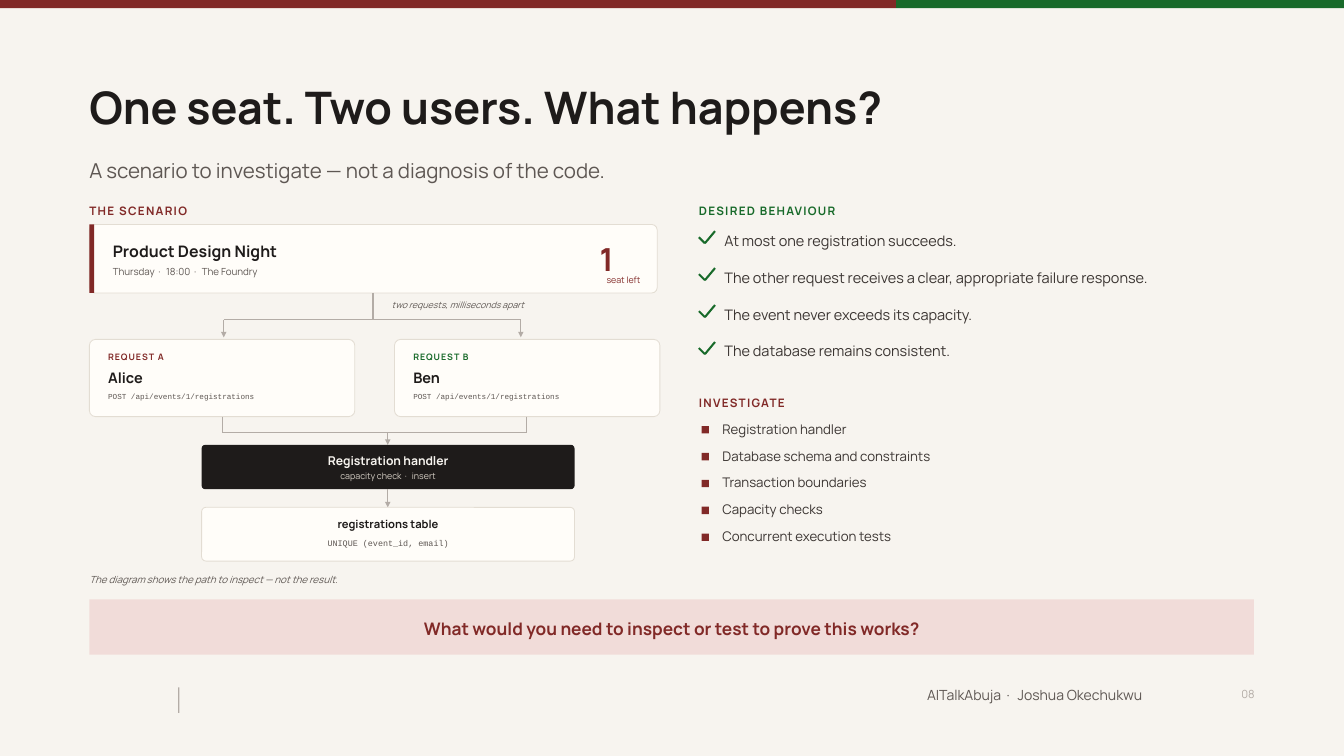
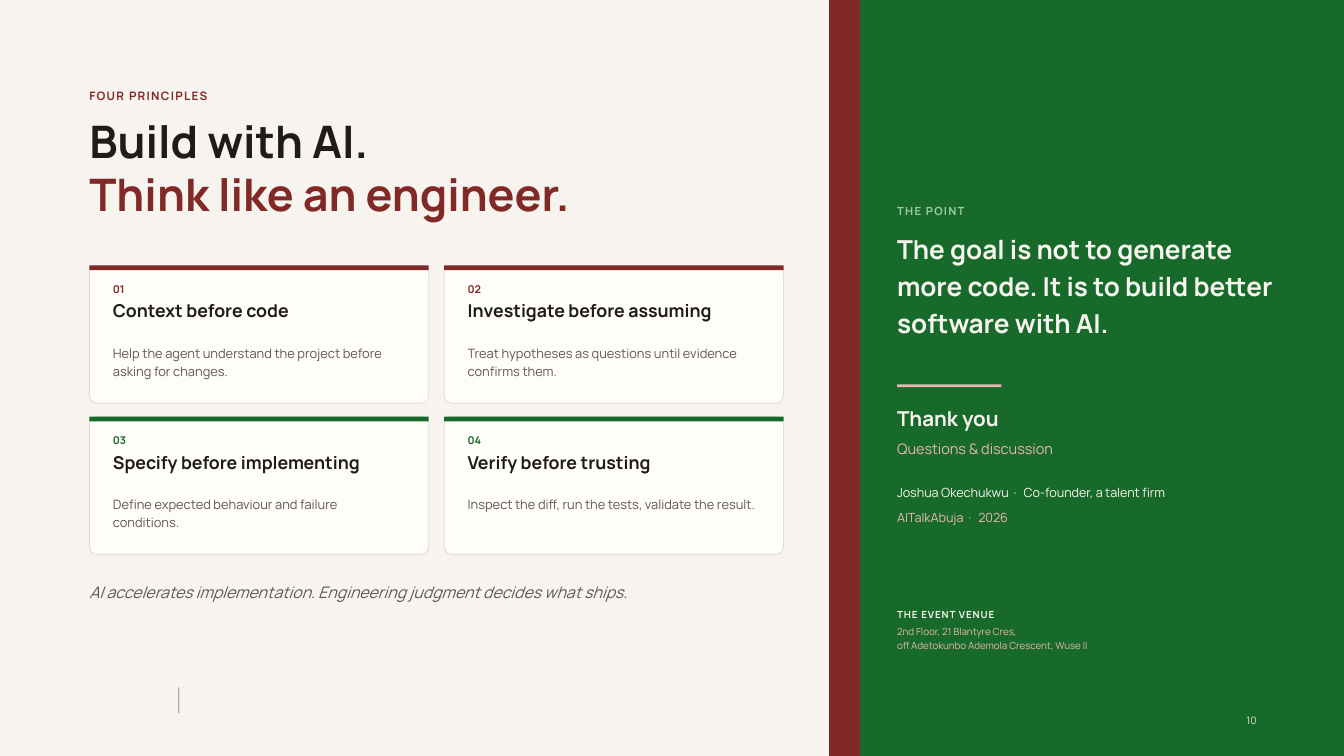
from dataclasses import dataclass
from itertools import pairwise

from pptx import Presentation
from pptx.dml.color import RGBColor as RGB
from pptx.enum.shapes import MSO_CONNECTOR as LINK, MSO_SHAPE as SHAPE
from pptx.enum.text import MSO_ANCHOR as ANCHOR, PP_ALIGN as ALIGN
from pptx.oxml.ns import qn
from pptx.util import Inches, Pt
from lxml.etree import SubElement

COLS, ROWS = 20, 11.25
MARGIN, SPAN = 1.33, 17.33


@dataclass(frozen=True)
class Theme:
    font: str = "Manrope"
    mono: str = "Courier New"
    leading: float = 1.42
    # colours
    paper: str = "F7F4EF"
    card: str = "FFFDF9"
    border: str = "E3DDD3"
    ink: str = "1E1B1A"
    body: str = "3B3532"
    muted: str = "5E5753"
    rule: str = "B3ACA6"
    sand: str = "D8D1C7"
    red: str = "812927"
    green: str = "186A2A"
    blush: str = "F1DCD9"
    pink: str = "E8B7B2"
    mint: str = "9CCBA5"
    pale_mint: str = "CFE6D3"
    # type sizes
    title: float = 48
    figure: float = 34
    quote: float = 28
    subtitle: float = 22
    heading: float = 19
    question: float = 18.5
    lead: float = 17
    item: float = 15.5
    footer: float = 15
    bullet: float = 14.2
    detail: float = 13.8
    credit: float = 13.5
    node: float = 13
    label: float = 12.5
    small: float = 12
    number: float = 11.5
    page: float = 11
    note: float = 10.5
    tiny: float = 9.5
    constraint: float = 9
    code: float = 8.2


T = Theme()


def write(p, text, size, color=T.ink, bold=False, italic=False, font=T.font,
          spacing=0, leading=None, align=ALIGN.LEFT):
    """Fill a paragraph; a middle dot gets wider spacing, a newline a break."""
    p.alignment = align
    p.line_spacing = Pt(round(leading or size * T.leading, 1))
    for n, line in enumerate(text.split("\n")):
        if n:
            p.add_line_break()
        before, dot, after = line.partition(" · ")
        while before:
            for part, gap in ((before, spacing), (dot, size * 0.18)):
                if not part:
                    continue
                r = p.add_run()
                r.text = part
                f = r.font
                f.name, f.size, f.bold, f.italic = font, Pt(size), bold, italic
                f.color.rgb = RGB.from_string(color)
                if gap:
                    r._r.get_or_add_rPr().set("spc", str(round(gap * 100)))
            before, dot, after = after.partition(" · ")


class Deck:
    """Draws on the current slide; lengths are columns and rows of the grid."""

    def __init__(self):
        self.prs = Presentation()
        self.prs.slide_width, self.prs.slide_height = Inches(COLS), Inches(ROWS)
        self.s = None

    def col(self, n):
        return round(self.prs.slide_width * n / COLS)

    def row(self, n):
        return round(self.prs.slide_height * n / ROWS)

    def frame(self, x, y, w, h):
        return self.col(x), self.row(y), self.col(w), self.row(h)

    def slide(self):
        self.s = self.prs.slides.add_slide(self.prs.slide_layouts[6])
        fill = self.s.background.fill
        fill.solid()
        fill.fore_color.rgb = RGB.from_string(T.paper)

    def text(self, x, y, w, h, *lines, anchor=ANCHOR.TOP, **fmt):
        """Each line is a paragraph: a string, or a (string, colour) pair."""
        tf = self.s.shapes.add_textbox(*self.frame(x, y, w, h)).text_frame
        tf.word_wrap, tf.vertical_anchor = True, anchor
        tf.margin_left = tf.margin_top = tf.margin_right = tf.margin_bottom = 0
        for n, line in enumerate(lines):
            p = tf.add_paragraph() if n else tf.paragraphs[0]
            if isinstance(line, tuple):
                write(p, line[0], **{**fmt, "color": line[1]})
            else:
                write(p, line, **fmt)

    def label(self, x, y, w, text, color, size=T.label):
        self.text(x, y, w, 0.3, text, size=size, color=color, bold=True, spacing=1.4)

    def box(self, x, y, w, h, fill, border=None, radius=0):
        kind = SHAPE.ROUNDED_RECTANGLE if radius else SHAPE.RECTANGLE
        sp = self.s.shapes.add_shape(kind, *self.frame(x, y, w, h))
        sp.shadow.inherit = False
        if radius:
            sp.adjustments[0] = radius
        sp.fill.solid()
        sp.fill.fore_color.rgb = RGB.from_string(fill)
        if border:
            sp.line.color.rgb = RGB.from_string(border)
            sp.line.width = Pt(0.9)
        else:
            sp.line.fill.background()

    def card(self, x, y, w, h, radius=0.08):
        self.box(x, y, w, h, T.card, T.border, radius)

    def link(self, *points, color=T.rule, width=1.3, arrow=False):
        """Join the points by straight lines, with an arrowhead on each if asked."""
        for (x1, y1), (x2, y2) in pairwise(points):
            c = self.s.shapes.add_connector(
                LINK.STRAIGHT, self.col(x1), self.row(y1), self.col(x2), self.row(y2))
            c.line.color.rgb = RGB.from_string(color)
            c.line.width = Pt(width)
            if arrow:
                SubElement(c.line._get_or_add_ln(), qn("a:tailEnd"), type="triangle")
            SubElement(c._element.spPr, qn("a:effectLst"))

    def tick(self, x, y):
        self.link((x, y), (x + 0.09, y + 0.09), (x + 0.24, y - 0.09),
                  color=T.green, width=2.2)

    def footer_rule(self):
        self.box(2.65, 10.23, 0.02, 0.38, T.rule)


def event_card(d):
    y = 3.34
    d.card(MARGIN, y, 8.45, 1.02)
    d.box(MARGIN, y, 0.07, 1.02, T.red)
    d.text(1.68, y + 0.2, 5.4, 0.35, "Product Design Night", size=T.lead, bold=True)
    d.text(1.68, y + 0.58, 5.4, 0.25, "Thursday · 18:00 · The Foundry",
           size=T.note, color=T.muted)
    d.text(8.23, y + 0.12, 0.9, 0.6, "1", size=T.figure, color=T.red, bold=True,
           align=ALIGN.RIGHT)
    d.text(8.48, y + 0.72, 1.05, 0.2, "seat left", size=T.tiny, color=T.red,
           align=ALIGN.RIGHT)


def request_card(d, x, label, user, color):
    y, inner = 5.05, x + 0.28
    d.card(x, y, 3.95, 1.15)
    d.text(inner, y + 0.15, 3.4, 0.22, label, size=T.tiny, color=color, bold=True,
           spacing=1.1)
    d.text(inner, y + 0.39, 3.4, 0.32, user, size=T.item, bold=True)
    d.text(inner, y + 0.75, 3.5, 0.25, "POST /api/events/1/registrations",
           size=T.code, color=T.muted, font=T.mono)


def scenario(d):
    d.label(MARGIN, 3, 9.5, "THE SCENARIO", T.red)
    event_card(d)

    fork, left, right = 4.76, 3.33, 7.75
    d.link((5.55, 4.36), (5.55, fork))
    d.link((left, fork), (right, fork))
    for x in (left, right):
        d.link((x, fork), (x, 5.02), arrow=True)
    d.text(5.83, 4.43, 3.6, 0.25, "two requests, milliseconds apart",
           size=T.tiny, color=T.muted, italic=True)
    request_card(d, MARGIN, "REQUEST A", "Alice", T.red)
    request_card(d, 5.87, "REQUEST B", "Ben", T.green)

    join, middle = 6.44, 5.77
    for x in (3.31, 7.84):
        d.link((x, 6.2), (x, join), (middle, join))
    d.link((middle, join), (middle, 6.62), arrow=True)

    x, w = 3, 5.55
    d.box(x, 6.62, w, 0.66, T.ink, radius=0.08)
    d.text(x, 6.7, w, 0.3, "Registration handler", size=T.node, color=T.paper,
           bold=True, align=ALIGN.CENTER)
    d.text(x, 6.98, w, 0.2, "capacity check · insert", size=T.tiny, color=T.sand,
           align=ALIGN.CENTER)
    d.link((middle, 7.28), (middle, 7.55), arrow=True)
    d.card(x, 7.55, w, 0.8)
    d.text(x, 7.66, w, 0.3, "registrations table", size=T.small, bold=True,
           align=ALIGN.CENTER)
    d.text(x, 7.98, w, 0.22, "UNIQUE (event_id, email)", size=T.constraint,
           color=T.muted, font=T.mono, align=ALIGN.CENTER)
    d.text(MARGIN, 8.5, 8.45, 0.25,
           "The diagram shows the path to inspect — not the result.",
           size=T.note, color=T.muted, italic=True)


def checklists(d):
    x = 10.4
    d.label(x, 3, 9.5, "DESIRED BEHAVIOUR", T.green)
    behaviours = ("At most one registration succeeds.",
                  "The other request receives a clear, appropriate failure response.",
                  "The event never exceeds its capacity.",
                  "The database remains consistent.")
    for n, behaviour in enumerate(behaviours):
        y = 3.4 + 0.55 * n
        d.tick(x, y + 0.13)
        d.text(x + 0.38, y, 7.82, 0.4, behaviour, size=T.item, color=T.body)

    d.label(x, 5.85, 9.5, "INVESTIGATE", T.red)
    targets = ("Registration handler", "Database schema and constraints",
               "Transaction boundaries", "Capacity checks",
               "Concurrent execution tests")
    for n, target in enumerate(targets):
        y = 6.22 + 0.4 * n
        d.box(x + 0.04, y + 0.12, 0.11, 0.11, T.red)
        d.text(x + 0.35, y, 7.85, 0.34, target, size=T.bullet, color=T.body)


def seat_slide(d):
    d.slide()
    split = COLS * 2 / 3
    d.box(0, 0, split, 0.12, T.red)
    d.box(split, 0, COLS - split, 0.12, T.green)
    d.text(MARGIN, 1.25, SPAN, 0.95, "One seat. Two users. What happens?",
           size=T.title, bold=True, leading=52.8)
    d.text(MARGIN, 2.28, SPAN, 0.6,
           "A scenario to investigate — not a diagnosis of the code.",
           size=T.subtitle, color=T.muted)
    d.footer_rule()
    d.text(11.4, 10.17, 5.6, 0.38, "AITalkAbuja · Joshua Okechukwu",
           size=T.footer, color=T.muted, align=ALIGN.RIGHT)
    d.text(18.05, 10.19, 0.62, 0.34, "08", size=T.small, color=T.rule,
           align=ALIGN.RIGHT)
    scenario(d)
    checklists(d)
    d.box(MARGIN, 8.92, SPAN, 0.82, T.blush)
    d.text(MARGIN + 0.4, 8.92, SPAN - 0.8, 0.82,
           "What would you need to inspect or test to prove this works?",
           size=T.question, color=T.red, bold=True, align=ALIGN.CENTER,
           anchor=ANCHOR.MIDDLE)


def principle_cards(d):
    principles = (
        ("Context before code",
         "Help the agent understand the project before asking for changes."),
        ("Investigate before assuming",
         "Treat hypotheses as questions until evidence confirms them."),
        ("Specify before implementing",
         "Define expected behaviour and failure conditions."),
        ("Verify before trusting",
         "Inspect the diff, run the tests, validate the result."))
    w, h = 5.05, 2.05
    for n, (heading, detail) in enumerate(principles):
        x, y = MARGIN + n % 2 * (w + 0.23), 3.95 + n // 2 * (h + 0.2)
        color, inner = (T.red, T.green)[n // 2], x + 0.35
        d.card(x, y, w, h, radius=0.055)
        d.box(x, y, w, 0.07, color)
        d.text(inner, y + 0.22, 0.6, 0.25, f"{n + 1:02}", size=T.number, color=color,
               bold=True)
        d.text(inner, y + 0.5, 4.35, 0.65, heading, size=T.heading, bold=True,
               leading=24)
        d.text(inner, y + 1.15, 4.35, 0.75, detail, size=T.detail, color=T.muted,
               leading=19.5)


def closing_panel(d):
    x, w = 13.35, 5.9
    d.label(x, 3, w, "THE POINT", T.mint, size=T.small)
    d.text(x, 3.38, w, 2,
           "The goal is not to generate more code. It is to build better software with AI.",
           size=T.quote, color=T.paper, bold=True, leading=40)
    d.box(x, 5.72, 1.55, 0.04, T.pink)
    d.text(x, 5.98, w, 0.45, "Thank you", size=T.subtitle, color=T.paper, bold=True)
    d.text(x, 6.5, w, 0.35, "Questions & discussion", size=T.item, color=T.pink)
    d.text(x, 7.18, w, 0.35, "Joshua Okechukwu · Co-founder, a talent firm",
           size=T.credit, color=T.paper)
    d.text(x, 7.55, w, 0.35, "AITalkAbuja · 2026", size=T.credit, color=T.pink)
    d.text(x, 9.02, 5.7, 0.25, "THE EVENT VENUE", size=T.note, color=T.paper,
           bold=True, spacing=1)
    d.text(x, 9.28, 5.7, 0.8,
           "2nd Floor, 21 Blantyre Cres,\noff Adetokunbo Ademola Crescent, Wuse II",
           size=T.note, color=T.pink, leading=15)
    d.text(18.15, 10.6, 0.55, 0.3, "10", size=T.page, color=T.pale_mint,
           align=ALIGN.RIGHT)


def principles_slide(d):
    d.slide()
    d.box(12.34, 0, 0.46, ROWS, T.red)
    d.box(12.8, 0, 7.2, ROWS, T.green)
    d.label(MARGIN, 1.28, 10.6, "FOUR PRINCIPLES", T.red)
    d.text(MARGIN, 1.7, 10.7, 1.9, "Build with AI.", ("Think like an engineer.", T.red),
           size=T.title, bold=True, leading=57)
    principle_cards(d)
    d.text(MARGIN, 8.62, 10.6, 0.5,
           "AI accelerates implementation. Engineering judgment decides what ships.",
           size=T.lead, color=T.muted, italic=True)
    closing_panel(d)
    d.footer_rule()


def main():
    d = Deck()
    seat_slide(d)
    principles_slide(d)
    d.prs.save("out.pptx")


if __name__ == "__main__":
    main()
